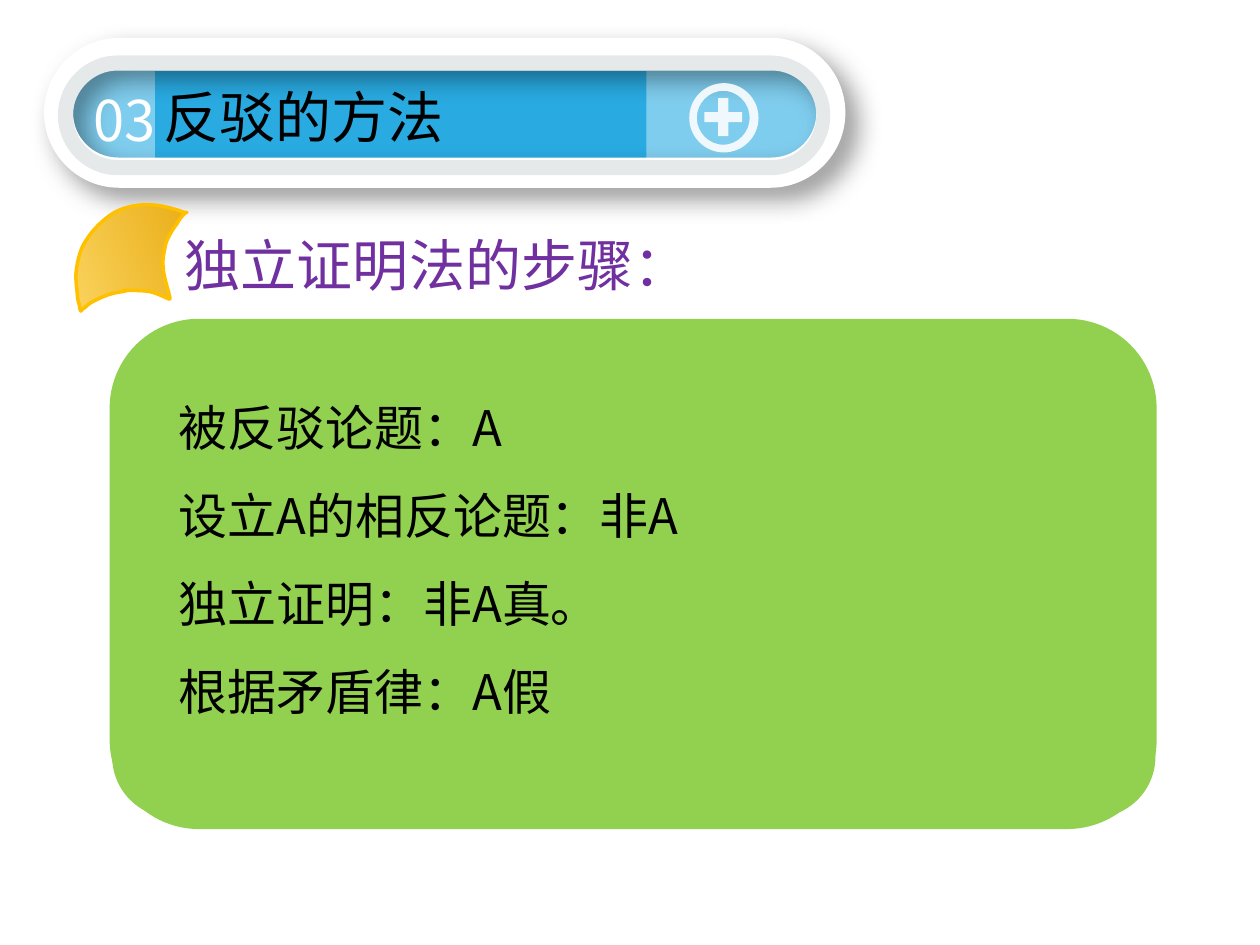
from math import cos, radians, sin

from lxml.etree import SubElement
from pptx import Presentation
from pptx.dml.color import RGBColor as Rgb
from pptx.enum.shapes import MSO_SHAPE as Kind
from pptx.oxml.ns import qn
from pptx.util import Inches, Pt

FONT = "Noto Sans CJK SC"
WHITE = Rgb(0xFF, 0xFF, 0xFF)
BLACK = Rgb(0, 0, 0)
BLUE = Rgb(0x29, 0xAB, 0xE2)
SKY = Rgb(0x7F, 0xCD, 0xEE)
GRAY = Rgb(0xE5, 0xE9, 0xEA)
GREEN = Rgb(0x92, 0xD0, 0x50)
PURPLE = Rgb(0x70, 0x30, 0xA0)
GOLD = Rgb(0xFF, 0xC0, 0x00)
AMBER = Rgb(0xE4, 0xA3, 0x02)
LEMON = Rgb(0xFF, 0xDD, 0x71)

STEPS = ["被反驳论题：A", "设立A的相反论题：非A", "独立证明：非A真。", "根据矛盾律：A假"]

TILT = 318.6
LEAF = [
    (1.35, 2.38), (1.34, 2.38), (1.25, 2.33), (1.19, 2.32),
    (1.13, 2.31), (1.02, 2.31), (0.98, 2.31),
    (0.95, 2.31), (1.07, 2.30), (0.98, 2.32),
    (0.89, 2.33), (0.82, 2.36), (0.76, 2.39),
    (0.71, 2.41), (0.68, 2.45), (0.66, 2.46),
    (0.64, 2.48), (0.65, 2.48), (0.64, 2.46),
    (0.64, 2.44), (0.63, 2.42), (0.62, 2.37),
    (0.62, 2.32), (0.60, 2.23), (0.61, 2.15),
    (0.62, 2.08), (0.64, 1.98), (0.69, 1.91),
    (0.74, 1.83), (0.82, 1.75), (0.90, 1.70),
    (0.98, 1.65), (1.09, 1.63), (1.18, 1.63),
    (1.28, 1.63), (1.41, 1.67), (1.46, 1.69),
    (1.51, 1.70), (1.48, 1.68), (1.47, 1.70),
    (1.46, 1.71), (1.43, 1.74), (1.41, 1.78),
    (1.38, 1.82), (1.34, 1.88), (1.32, 1.94),
    (1.31, 2.00), (1.29, 2.06), (1.30, 2.13),
    (1.30, 2.21), (1.37, 2.39), (1.35, 2.38),
]


def turn(knots, x, y, angle):
    c, s = cos(radians(angle)), sin(radians(angle))
    return [(x + (a - x) * c - (b - y) * s, y + (a - x) * s + (b - y) * c) for a, b in knots]


def edges(*corners):
    return [corners[0]] + [p for p in corners[1:] for _ in range(3)]


def pill(left, top, wide, high, west=True, east=True):
    rad, right, base = high / 2, left + wide, top + high
    mid, gap = top + rad, rad * 0.45
    a = left + rad if west else left
    b = right - rad if east else right
    knots = edges((a, top), (b, top))
    if east:
        knots += [(right - gap, top), (right, top + gap), (right, mid),
                  (right, base - gap), (right - gap, base), (b, base)]
    else:
        knots += [(b, base)] * 3
    knots += [(a, base)] * 3
    if west:
        knots += [(left + gap, base), (left, base - gap), (left, mid),
                  (left, top + gap), (left + gap, top), (a, top)]
    return knots


def cross(x, y, arm, half):
    return edges((x + half, y - arm), (x - half, y - arm), (x - half, y - half),
                 (x - arm, y - half), (x - arm, y + half), (x - half, y + half),
                 (x - half, y + arm), (x + half, y + arm), (x + half, y + half),
                 (x + arm, y + half), (x + arm, y - half), (x + half, y - half))


def paint(shape, color):
    shape.shadow.inherit = False
    shape.fill.solid()
    shape.fill.fore_color.rgb = color
    shape.line.fill.background()
    return shape


def bend(shape):
    lines = list(shape.element.iter(qn("a:lnTo")))
    for i in range(0, len(lines), 3):
        trio = lines[i:i + 3]
        arc = trio[0].makeelement(qn("a:cubicBezTo"))
        trio[0].addprevious(arc)
        for line in trio:
            arc.append(line[0])
            line.getparent().remove(line)


def draw(slide, color, *loops):
    loops = [[(Inches(x), Inches(y)) for x, y in loop] for loop in loops]
    pen = slide.shapes.build_freeform(*loops[0][0])
    pen.add_line_segments(loops[0][1:])
    for loop in loops[1:]:
        pen.move_to(*loop[0])
        pen.add_line_segments(loop[1:])
    shape = pen.convert_to_shape()
    bend(shape)
    return paint(shape, color)


def fade(node, value):
    SubElement(node, qn("a:alpha")).set("val", str(value * 1000))


def shade(shape):
    glow = SubElement(shape.element.spPr.find(qn("a:effectLst")), qn("a:outerShdw"))
    for key, value in (("blurRad", Pt(14)), ("dist", Pt(9)), ("dir", 45 * 60000),
                       ("algn", "tl"), ("rotWithShape", 0)):
        glow.set(key, str(value))
    tint = SubElement(glow, qn("a:srgbClr"))
    tint.set("val", str(BLACK))
    fade(tint, 40)


def write(slide, lines, box, size=32, color=BLACK, wrap=True, space=None, inset=0.1):
    frame = slide.shapes.add_textbox(*map(Inches, box)).text_frame
    frame.word_wrap = wrap
    frame.margin_left = Inches(inset)
    for i, line in enumerate(lines):
        para = frame.add_paragraph() if i else frame.paragraphs[0]
        para.line_spacing = space
        run = para.add_run()
        run.text = line
        font = run.font
        font.name, font.size, font.color.rgb = FONT, Pt(size), color
        SubElement(font._element, qn("a:ea")).set("typeface", FONT)


def banner(slide):
    draw(slide, BLUE, pill(0.58, 0.56, 5.9, 0.71))
    draw(slide, SKY, pill(5.13, 0.56, 1.35, 0.71, west=False))
    draw(slide, SKY, pill(0.57, 0.56, 0.66, 0.71, east=False))
    shade(draw(slide, WHITE, pill(0.35, 0.3, 6.36, 1.19), pill(0.58, 0.54, 5.9, 0.71)))
    draw(slide, GRAY, pill(0.46, 0.44, 6.13, 0.95), pill(0.58, 0.56, 5.9, 0.71))
    write(slide, ["03"], (0.64, 0.63, 0.73, 0.64), color=WHITE, wrap=False)
    icon = draw(slide, WHITE, cross(5.74, 0.93, 0.15, 0.04),
                pill(5.47, 0.66, 0.55, 0.55), pill(5.53, 0.72, 0.42, 0.43))
    fade(icon.element.spPr.find(qn("a:solidFill"))[0], 88)
    write(slide, ["反驳的方法"], (0.9, 0.61, 2.93, 0.64), inset=0.4)


def card(slide):
    for left, top, wide, high, curve in ((0.87, 2.53, 8.31, 4.05, 0.175),
                                         (0.89, 5.52, 8.28, 0.97, 0.5),
                                         (0.89, 2.74, 8.28, 0.97, 0.5)):
        box = map(Inches, (left, top, wide, high))
        shape = paint(slide.shapes.add_shape(Kind.ROUNDED_RECTANGLE, *box), GREEN)
        shape.adjustments[0] = curve
    write(slide, STEPS, (1.32, 2.87, 7.98, 2.93), size=28, space=1.5)


def leaf(slide):
    shape = draw(slide, GOLD, turn(LEAF, 1.08, 2.08, -TILT))
    shape.rotation = TILT
    shape.fill.gradient()
    shape.fill.gradient_angle = 160
    for stop, color in zip(shape.fill.gradient_stops, (AMBER, LEMON)):
        stop.color.rgb = color
    shape.line.color.rgb = GOLD
    shape.line.width = Pt(2)


def main():
    deck = Presentation()
    deck.slide_width, deck.slide_height = Inches(10), Inches(7.5)
    slide = deck.slides.add_slide(deck.slide_layouts[6])
    banner(slide)
    write(slide, ["独立证明法的步骤："], (1.37, 1.78, 4.24, 0.64), color=PURPLE, wrap=False)
    card(slide)
    leaf(slide)
    deck.save("out.pptx")


if __name__ == "__main__":
    main()
